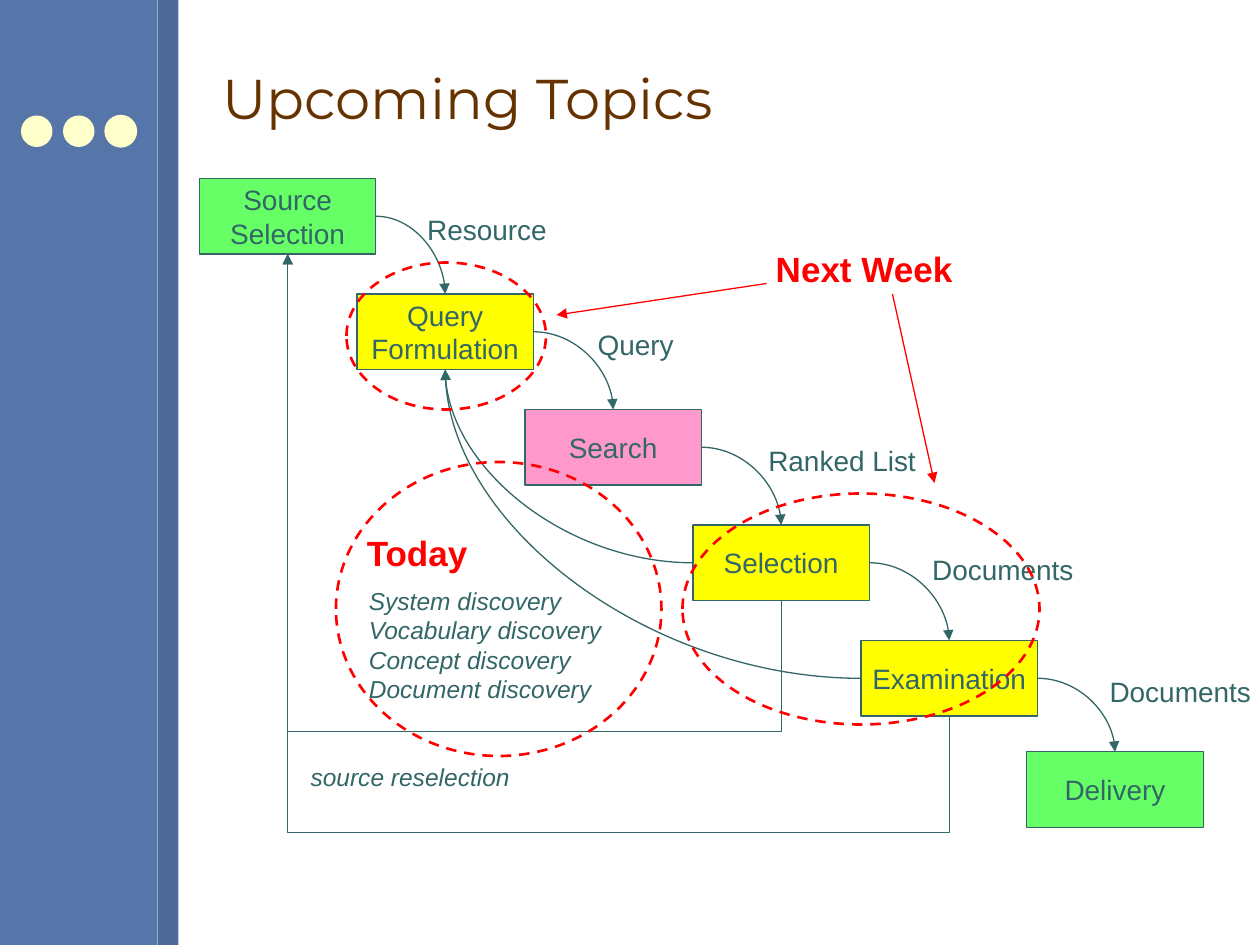
from lxml import etree
from pptx import Presentation
from pptx.dml.color import RGBColor
from pptx.enum import dml, shapes, text
from pptx.oxml.ns import qn
from pptx.util import Inches, Pt

BLUE, DARK_BLUE = RGBColor(0x56, 0x75, 0xA9), RGBColor(0x4D, 0x69, 0x97)
CREAM, BROWN = RGBColor(0xFF, 0xFF, 0xCC), RGBColor(0x66, 0x33, 0x00)
TEAL, RED = RGBColor(0x33, 0x66, 0x66), RGBColor(0xFF, 0x00, 0x00)
GREEN, YELLOW = RGBColor(0x66, 0xFF, 0x66), RGBColor(0xFF, 0xFF, 0x00)
PINK = RGBColor(0xFF, 0x99, 0xCC)

# Content; every length is in cells of a grid with 12 cells to the inch
COLS, ROWS = 120, 90
BOX_W, BOX_H = 16.8, 7.2
STEPS = [  # text, left, top, fill
    ("Source\nSelection", 19, 17, GREEN),
    ("Query\nFormulation", 34, 28, YELLOW),
    ("Search", 50, 39, PINK),
    ("Selection", 66, 50, YELLOW),
    ("Examination", 82, 61, YELLOW),
    ("Delivery", 97.8, 71.6, GREEN),
]
FLOWS = [  # label on the arrow to the next step, left, top, width
    ("Resource", 39.5, 19.65, 15),
    ("Query", 55.75, 30.6, 11),
    ("Ranked List", 72, 41.65, 18),
    ("Documents", 87.6, 52, 17),
    ("Documents", 104.5, 63.65, 17),
]
SOURCE, QUERY, SELECTION, EXAMINATION = 0, 1, 3, 4
RESELECTION = [(EXAMINATION, 79.3), (SELECTION, 69.7)]  # step, row of the return line
DISCOVERY = "System discovery\nVocabulary discovery\nConcept discovery\nDocument discovery"
RINGS = [(32, 44, 31, 28), (33, 25, 19, 14), (65, 47, 34, 22)]
POINTERS = [(73, 27, 53, 30), (85, 28, 89, 46)]

RECT, OVAL = shapes.MSO_SHAPE.RECTANGLE, shapes.MSO_SHAPE.OVAL
LINE, CURVE, ELBOW = (shapes.MSO_CONNECTOR.STRAIGHT, shapes.MSO_CONNECTOR.CURVE,
                      shapes.MSO_CONNECTOR.ELBOW)

prs = Presentation()
prs.slide_width, prs.slide_height = Inches(COLS / 12), Inches(ROWS / 12)
s = prs.slides.add_slide(prs.slide_layouts[6])


def cells(*values):
    return [Inches(v / 12) for v in values]


def write(sp, words, size=16, color=TEAL, font="Arial", bold=False, italic=False,
          align=text.PP_ALIGN.LEFT, anchor=text.MSO_ANCHOR.TOP, wrap=True):
    tf = sp.text_frame
    tf.word_wrap, tf.vertical_anchor = wrap, anchor
    for i, line in enumerate(words.split("\n")):
        p = tf.add_paragraph() if i else tf.paragraphs[0]
        p.alignment = align
        r = p.add_run()
        r.text = line
        r.font.size, r.font.name = Pt(size), font
        r.font.bold, r.font.italic = bold, italic
        r.font.color.rgb = color


def label(words, x, y, w, h, **fmt):
    write(s.shapes.add_textbox(*cells(x, y, w, h)), words, **fmt)


def shape(kind, x, y, w, h, fill=None, line=None, width=0.75):
    sp = s.shapes.add_shape(kind, *cells(x, y, w, h))
    sp.shadow.inherit = False
    if fill is None:
        sp.fill.background()
    else:
        sp.fill.solid()
        sp.fill.fore_color.rgb = fill
    if line is None:
        sp.line.fill.background()
    else:
        sp.line.color.rgb, sp.line.width = line, Pt(width)
    return sp


def arrow(kind, x1, y1, x2, y2, color=TEAL):
    c = s.shapes.add_connector(kind, *cells(x1, y1, x2, y2))
    c.line.color.rgb, c.line.width = color, Pt(0.75)
    pr = c._element.spPr
    etree.SubElement(pr.find(qn("a:ln")), qn("a:tailEnd"), type="triangle")
    etree.SubElement(pr, qn("a:effectLst"))
    return pr


def curve(x1, y1, x2, y2):
    """Quarter turn that leaves sideways; a backward one is turned by 180 degrees."""
    pr = arrow(CURVE, min(x1, x2), min(y1, y2), max(x1, x2), max(y1, y2))
    pr.find(qn("a:prstGeom")).set("prst", "curvedConnector2")
    if x2 < x1:
        pr.find(qn("a:xfrm")).set("rot", "10800000")


def return_line(x1, y1, x2, y2, row):
    """Elbow that drops to a row, runs left and rises to its end."""
    w, h = y1 - y2, x1 - x2
    left, top = (x1 + x2 - w) / 2, (y1 + y2 - h) / 2
    pr = arrow(ELBOW, left, top, left + w, top + h)
    xfrm = pr.find(qn("a:xfrm"))
    xfrm.set("rot", "16200000")
    xfrm.set("flipV", "1")
    guides = pr.find(qn("a:prstGeom")).find(qn("a:avLst"))
    etree.SubElement(guides, qn("a:gd"), name="adj1",
                     fmla=f"val {round((y1 - row) / w * 100000)}")


def side(step, dx, dy):
    """Point on a step's box, as shares of its width and height."""
    _, x, y, _ = STEPS[step]
    return x + dx * BOX_W, y + dy * BOX_H


# Sidebar and title
shape(RECT, 0, 0, 15, ROWS, BLUE)
shape(RECT, 15, 0, 2, ROWS, DARK_BLUE)
for x in (2, 6, 10):
    shape(OVAL, x, 11, 3, 3, CREAM, CREAM if x == 10 else None)
label("Upcoming Topics", 20, 2.5, 96, 13.5, size=32, color=BROWN, font="Montserrat",
      anchor=text.MSO_ANCHOR.MIDDLE)

# Steps, with labelled arrows from each to the next
for words, x, y, fill in STEPS:
    write(shape(RECT, x, y, BOX_W, BOX_H, fill, TEAL), words, wrap=False,
          align=text.PP_ALIGN.CENTER, anchor=text.MSO_ANCHOR.MIDDLE)
for i, (words, x, y, w) in enumerate(FLOWS):
    curve(*side(i, 1, 0.5), *side(i + 1, 0.5, 0))
    label(words, x, y, w, 4.4)

# Feedback to the source and to the query
label("source reselection", 28.4, 72, 27.6, 4.1, size=14, italic=True)
for step, row in RESELECTION:
    return_line(*side(step, 0.5, 1), *side(SOURCE, 0.5, 1), row)
label(DISCOVERY, 33.95, 55.2, 26, 12.5, size=14, italic=True)
for step in (EXAMINATION, SELECTION):
    curve(*side(step, 0, 0.5), *side(QUERY, 0.5, 1))

# Schedule marks
for ring in RINGS:
    shape(OVAL, *ring, line=RED, width=1.5).line.dash_style = dml.MSO_LINE.DASH
label("Today", 33.75, 50, 14, 5.3, size=20, color=RED, bold=True)
label("Next Week", 72.7, 23, 21, 5.3, size=20, color=RED, bold=True)
for ends in POINTERS:
    arrow(LINE, *ends, color=RED)

prs.save("out.pptx")
